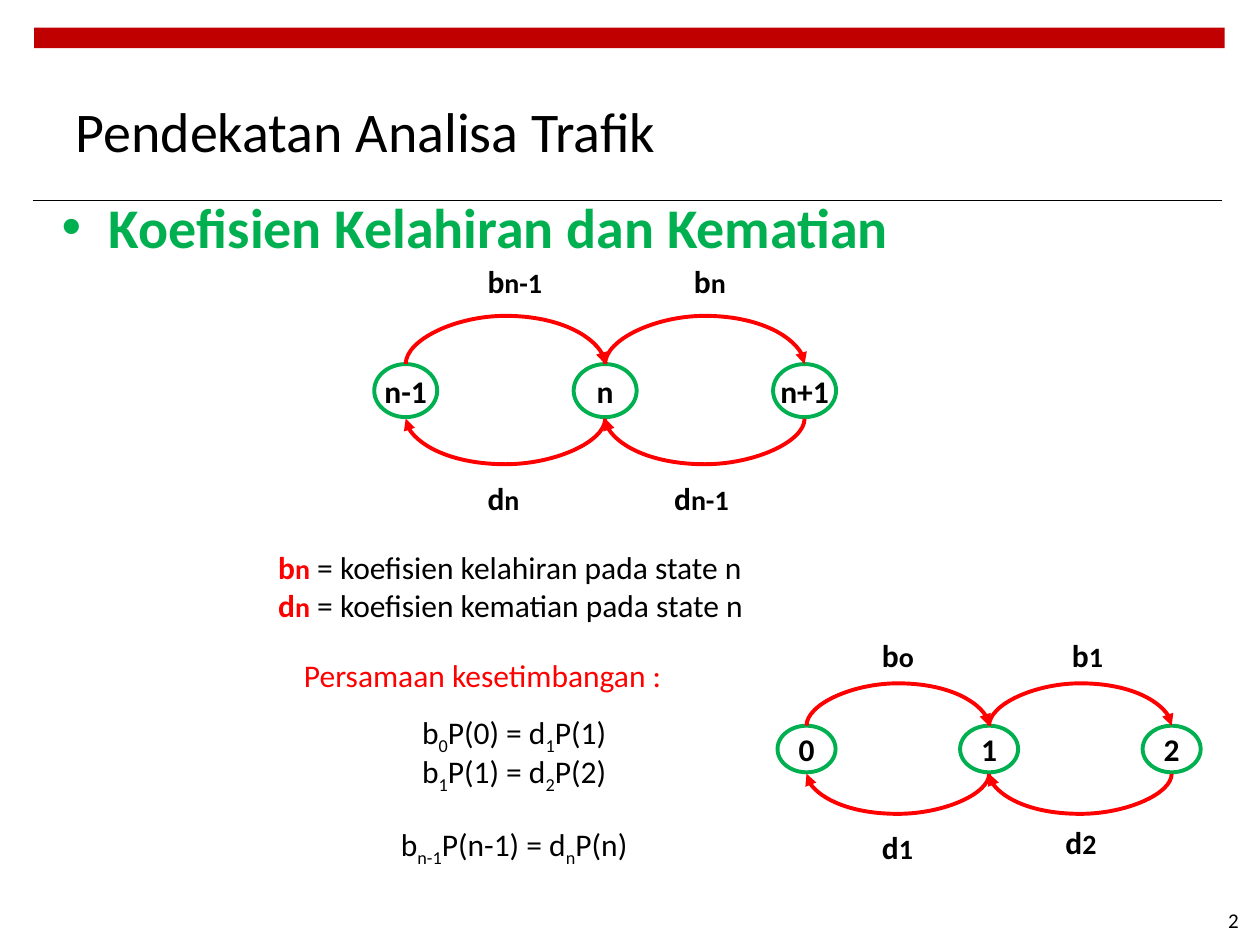
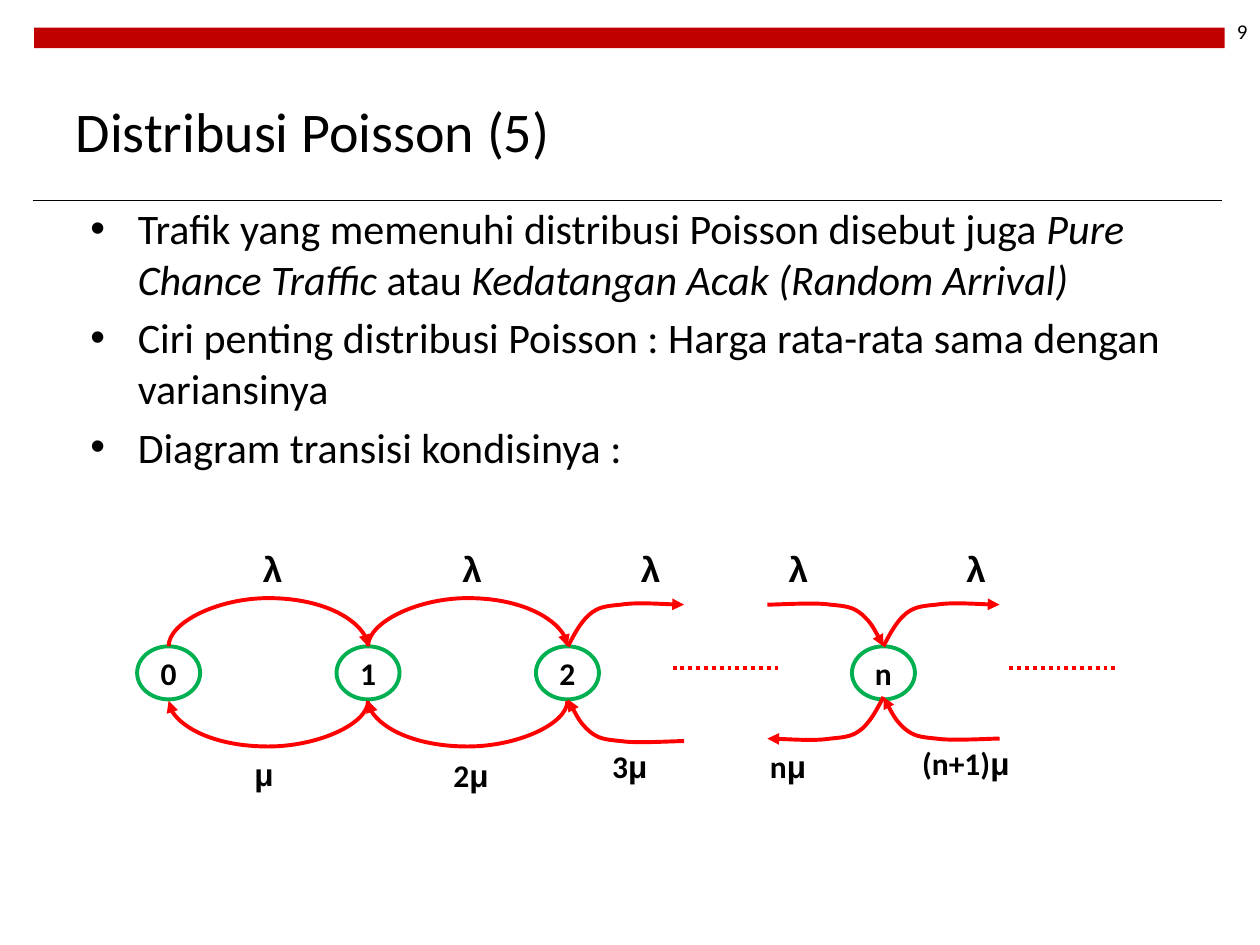
import itertools
from dataclasses import dataclass
from typing import NamedTuple, Optional, Sequence

import pptx
import pptx.dml.color
import pptx.enum.dml
import pptx.enum.shapes
import pptx.enum.text
import pptx.oxml
import pptx.oxml.ns
import pptx.shapes.base
import pptx.shapes.connector
import pptx.slide
import pptx.text.text
import pptx.util

Cm = pptx.util.Cm
Pt = pptx.util.Pt
RGBColor = pptx.dml.color.RGBColor
qn = pptx.oxml.ns.qn
Align = pptx.enum.text.PP_ALIGN
Anchor = pptx.enum.text.MSO_ANCHOR
AutoSize = pptx.enum.text.MSO_AUTO_SIZE
Preset = pptx.enum.shapes.MSO_SHAPE
ConnectorType = pptx.enum.shapes.MSO_CONNECTOR

BAND_RED = RGBColor(0xC0, 0x00, 0x00)
ARROW_RED = RGBColor(0xFF, 0x00, 0x00)
STATE_GREEN = RGBColor(0x00, 0xB0, 0x50)
BLACK = RGBColor(0x00, 0x00, 0x00)
FONT = "Calibri"
GREEK_FONT = "Arial"
LINE_WIDTH = Pt(2.25)

STATE_TOP_SITE, STATE_BOTTOM_SITE = 0, 4
CONNECTOR_DEPTH = 1588
# Bezier points, in cm, of a branch that leaves a state to the right and upwards
BRANCH_POINTS = [(0.13, 0.25), (0.25, 0.48), (0.43, 0.64),
                 (0.61, 0.79), (0.74, 0.81), (1.07, 0.84),
                 (1.37, 0.89), (2.11, 0.84), (2.34, 0.84)]


class Box(NamedTuple):
    left: float
    top: float
    width: float
    height: float

    def lengths(self) -> list[pptx.util.Length]:
        return [Cm(value) for value in self]


class Run(NamedTuple):
    text: str
    size: float = 18
    color: RGBColor = BLACK
    bold: bool = False
    italic: bool = False
    font: str = FONT
    subscript: bool = False


class Label(NamedTuple):
    left: float
    top: float
    width: float
    runs: Sequence[Run]


class Branch(NamedTuple):
    """A bent arrow between a state and states that are not drawn."""
    x: float
    y: float
    right: int
    down: int
    arrow_end: str


@dataclass
class Chain:
    """Equally spaced states, joined by birth arcs above and death arcs below."""
    names: Sequence[str]
    center: float
    top: float
    pitch: float = 4.02
    width: float = 1.27
    height: float = 1.07


def add_runs(paragraph: pptx.text.text._Paragraph, runs: Sequence[Run]) -> None:
    for item in runs:
        run = paragraph.add_run()
        run.text = item.text
        run.font.name, run.font.size = item.font, Pt(item.size)
        run.font.bold, run.font.italic = item.bold, item.italic
        run.font.color.rgb = item.color
        if item.subscript:
            run._r.get_or_add_rPr().set("baseline", "-25000")


def add_paragraphs(frame: pptx.text.text.TextFrame,
                   paragraphs: Sequence[Sequence[Run]]) -> None:
    for index, runs in enumerate(paragraphs):
        paragraph = frame.add_paragraph() if index else frame.paragraphs[0]
        add_runs(paragraph, runs)


def add_text(slide: pptx.slide.Slide, box: Box, paragraphs: Sequence[Sequence[Run]],
             wrap: bool = True) -> pptx.text.text.TextFrame:
    frame = slide.shapes.add_textbox(*box.lengths()).text_frame
    frame.word_wrap = wrap
    add_paragraphs(frame, paragraphs)
    return frame


def add_label(slide: pptx.slide.Slide, label: Label) -> None:
    box = Box(label.left, label.top, label.width, 1.02)
    add_text(slide, box, [label.runs], wrap=False).auto_size = AutoSize.SHAPE_TO_FIT_TEXT


def coefficient(letter: str, index: str, color: RGBColor = BLACK) -> list[Run]:
    return [Run(letter, 18, color, True), Run(index, 16, color, True)]


def rate(factor: str) -> list[Run]:
    runs = [Run(factor, bold=True)] if factor else []
    return runs + [Run("μ", bold=True, font=GREEK_FONT)]


def equation(left: str, left_state: str, right: str, right_state: str) -> list[Run]:
    return [Run("b"), Run(left, subscript=True), Run(f"P({left_state}) = d"),
            Run(right, subscript=True), Run(f"P({right_state})")]


def style_line(shape: pptx.shapes.base.BaseShape, color: RGBColor = ARROW_RED,
               width: pptx.util.Length = LINE_WIDTH, arrow_end: Optional[str] = None,
               dotted: bool = False) -> None:
    """Format a line; arrow_end is headEnd, tailEnd or None."""
    line = shape.line
    line.color.rgb, line.width = color, width
    if dotted:
        line.dash_style = pptx.enum.dml.MSO_LINE.ROUND_DOT
    if arrow_end:
        end = line._get_or_add_ln().makeelement(qn(f"a:{arrow_end}"), {"type": "triangle"})
        line._get_or_add_ln().append(end)
    properties = shape._element.spPr
    properties.append(properties.makeelement(qn("a:effectLst"), {}))


def add_straight_line(slide: pptx.slide.Slide, left: float, right: float,
                      y: float) -> pptx.shapes.connector.Connector:
    return slide.shapes.add_connector(ConnectorType.STRAIGHT, Cm(left), Cm(y), Cm(right), Cm(y))


def add_state(slide: pptx.slide.Slide, name: str, box: Box) -> pptx.shapes.base.BaseShape:
    state = slide.shapes.add_shape(Preset.OVAL, *box.lengths())
    state.fill.background()
    style_line(state, STATE_GREEN)
    frame = state.text_frame
    frame.word_wrap = False
    frame.vertical_anchor = Anchor.MIDDLE
    frame.paragraphs[0].alignment = Align.CENTER
    add_runs(frame.paragraphs[0], [Run(name, bold=True)])
    return state


def add_arc(slide: pptx.slide.Slide, first: pptx.shapes.base.BaseShape,
            second: pptx.shapes.base.BaseShape, birth: bool) -> None:
    """Join two states with a curve that bulges up for a birth, down for a death."""
    start, end = (state.left + state.width // 2 for state in (first, second))
    span, middle = end - start, (start + end) // 2
    y = first.top if birth else first.top + first.height + Cm(0.03)
    bulge = -first.height if birth else 0.95 * first.height
    arc = slide.shapes.add_connector(ConnectorType.CURVE, start, y, end, y)
    arc.left, arc.top = middle - CONNECTOR_DEPTH // 2, y - span // 2
    arc.width, arc.height = CONNECTOR_DEPTH, span
    properties = arc._element.spPr
    properties.xfrm.set("rot", "5400000" if birth else "16200000")
    properties.xfrm.set("flipV" if birth else "flipH", "1")
    geometry = properties.find(qn("a:prstGeom"))
    adjustments = geometry.find(qn("a:avLst"))
    if adjustments is None:
        adjustments = geometry.makeelement(qn("a:avLst"), {})
        geometry.append(adjustments)
    value = round(bulge / CONNECTOR_DEPTH * 100000)
    adjustments.append(adjustments.makeelement(
        qn("a:gd"), {"name": "adj1", "fmla": f"val {value}"}))
    links = arc._element.nvCxnSpPr.cNvCxnSpPr
    for link, state in ((links.get_or_add_stCxn(), first), (links.get_or_add_endCxn(), second)):
        link.id = state.shape_id
        link.idx = STATE_TOP_SITE if birth else STATE_BOTTOM_SITE
    style_line(arc, arrow_end="tailEnd" if birth else "headEnd")


def add_chain(slide: pptx.slide.Slide, chain: Chain) -> None:
    first_left = chain.center - chain.width / 2
    states = [add_state(slide, name, Box(first_left + index * chain.pitch, chain.top,
                                         chain.width, chain.height))
              for index, name in enumerate(chain.names)]
    for (first, second), birth in itertools.product(itertools.pairwise(states), (True, False)):
        add_arc(slide, first, second, birth)


def add_branch(slide: pptx.slide.Slide, branch: Branch) -> None:
    points = [(Cm(branch.x + branch.right * x), Cm(branch.y + branch.down * y))
              for x, y in BRANCH_POINTS]
    builder = slide.shapes.build_freeform(Cm(branch.x), Cm(branch.y))
    builder.add_line_segments(points, close=False)
    shape = builder.convert_to_shape()
    outline = next(shape._element.iter(qn("a:path")))
    segments = outline.findall(qn("a:lnTo"))
    for index in range(0, len(segments), 3):
        curve = outline.makeelement(qn("a:cubicBezTo"), {})
        outline.append(curve)
        for segment in segments[index:index + 3]:
            curve.append(segment[0])
            outline.remove(segment)
    shape.fill.background()
    style_line(shape, arrow_end=branch.arrow_end)


def add_master_band(presentation: pptx.presentation.Presentation,
                    slide: pptx.slide.Slide) -> None:
    """Draw the red band and the title rule, then hand them to the slide master."""
    band = slide.shapes.add_shape(Preset.RECTANGLE, *Box(0.69, 0.56, 24, 0.41).lengths())
    band.fill.solid()
    band.fill.fore_color.rgb = BAND_RED
    band.line.fill.background()
    band.shadow.inherit = False
    rule = add_straight_line(slide, 0.66, 24.64, 4.04)
    style_line(rule, BLACK, Pt(0.6))
    for number, shape in enumerate((band, rule), start=101):
        next(shape._element.iter(qn("p:cNvPr"))).set("id", str(number))
        presentation.slide_master.shapes._spTree.append(shape._element)


def add_slide(presentation: pptx.presentation.Presentation, title: str, body_box: Box,
              bullets: Sequence[Sequence[Run]], number: str, number_box: Box) -> pptx.slide.Slide:
    slide = presentation.slides.add_slide(presentation.slide_layouts[1])
    heading, body = slide.shapes.title, slide.placeholders[1]
    for shape, box in ((heading, Box(1.27, 1.32, 16.92, 2.62)), (body, body_box)):
        shape.left, shape.top, shape.width, shape.height = box.lengths()
        shape.text_frame.auto_size = AutoSize.NONE
    heading.text_frame.vertical_anchor = Anchor.MIDDLE
    heading.text_frame.paragraphs[0].alignment = Align.LEFT
    add_runs(heading.text_frame.paragraphs[0], [Run(title, 32)])
    add_paragraphs(body.text_frame, bullets)
    body.text_frame.paragraphs[0].space_before = Pt(0)
    frame = add_text(slide, number_box, [[Run(number, 12)]])
    frame.vertical_anchor = Anchor.MIDDLE
    frame.paragraphs[0].alignment = Align.RIGHT
    return slide


def add_equations(slide: pptx.slide.Slide) -> None:
    frame = add_text(slide, Box(4.37, 13.11, 10.72, 5.56), [
        [Run("Persamaan kesetimbangan :", color=ARROW_RED)],
        equation("0", "0", "1", "1"),
        equation("1", "1", "2", "2"),
        equation("n-1", "n-1", "n", "n")])
    for paragraph, gap in zip(frame.paragraphs, (0, 11, 0, 20)):
        paragraph.alignment = Align.CENTER
        paragraph.space_before = Pt(gap)
    for paragraph in frame.paragraphs[1:]:
        paragraph.line_spacing = 0.9
        paragraph._p.get_or_add_pPr().set("marL", str(Cm(1.27)))


def build_coefficient_slide(presentation: pptx.presentation.Presentation) -> None:
    slide = add_slide(presentation, "Pendekatan Analisa Trafik", Box(0.99, 3.76, 22.86, 13.69),
                      [[Run("Koefisien Kelahiran dan Kematian", 32, STATE_GREEN, True)]],
                      "2", Box(19.3, 18.03, 5.92, 1.02))
    add_master_band(presentation, slide)
    add_text(slide, Box(5.36, 10.92, 16.08, 1.8), [
        coefficient(letter, "n", ARROW_RED) + [Run(f" = koefisien {event} pada state n")]
        for letter, event in (("b", "kelahiran"), ("d", "kematian"))])
    add_equations(slide)
    add_chain(slide, Chain(("n-1", "n", "n+1"), 8.18, 7.34))
    add_chain(slide, Chain(("0", "1", "2"), 16.26, 14.63, 3.68, 1.17, 0.94))
    for left, top, width, letter, index in (
            (9.58, 5.16, 1.75, "b", "n-1"), (13.74, 5.16, 1.24, "b", "n"),
            (13.34, 9.53, 1.75, "d", "n-1"), (9.58, 9.53, 1.24, "d", "n"),
            (17.53, 12.7, 1.24, "b", "o"), (21.36, 12.7, 1.22, "b", "1"),
            (21.23, 16.46, 1.22, "d", "2"), (17.53, 16.56, 1.22, "d", "1")):
        add_label(slide, Label(left, top, width, coefficient(letter, index)))


def build_poisson_slide(presentation: pptx.presentation.Presentation) -> None:
    slide = add_slide(presentation, "Distribusi Poisson (5)", Box(1.57, 3.96, 22.86, 5.49), [
        [Run("Trafik yang memenuhi distribusi Poisson disebut juga ", 24),
         Run("Pure Chance Traffic", 24, italic=True), Run(" atau ", 24),
         Run("Kedatangan Acak (Random Arrival)", 24, italic=True)],
        [Run("Ciri penting distribusi Poisson : Harga rata-rata sama dengan variansinya", 24)],
        [Run("Diagram transisi kondisinya :", 24)]], "9", Box(23.93, 0, 1.47, 1.27))
    add_chain(slide, Chain(("0", "1", "2"), 3.4, 13.03))
    add_chain(slide, Chain(("n",), 17.81, 13.03))
    for branch in (Branch(11.45, 13.03, 1, -1, "tailEnd"), Branch(11.45, 14.1, 1, 1, "headEnd"),
                   Branch(17.81, 13.03, -1, -1, "headEnd"), Branch(17.81, 14.05, -1, 1, "tailEnd"),
                   Branch(17.81, 13.03, 1, -1, "tailEnd"), Branch(17.81, 14.05, 1, 1, "headEnd")):
        add_branch(slide, branch)
    for left in (13.56, 20.35):
        style_line(add_straight_line(slide, left, left + 2.12, 13.46), dotted=True)
    for left in (5.05, 9.07, 12.67, 15.65, 19.23):
        add_label(slide, Label(left, 10.92, 0.91, [Run("λ", 20, bold=True, font=GREEK_FONT)]))
    for left, top, width, factor in (
            (4.88, 15.09, 0.89, ""), (8.89, 15.11, 1.24, "2"), (12.09, 14.94, 1.24, "3"),
            (15.27, 14.94, 1.27, "n"), (18.34, 14.88, 2.44, "(n+1)")):
        add_label(slide, Label(left, top, width, rate(factor)))


def main() -> None:
    presentation = pptx.Presentation()
    presentation.slide_width, presentation.slide_height = Cm(25.4), Cm(19.05)
    build_coefficient_slide(presentation)
    build_poisson_slide(presentation)
    presentation.save("out.pptx")


if __name__ == "__main__":
    main()
